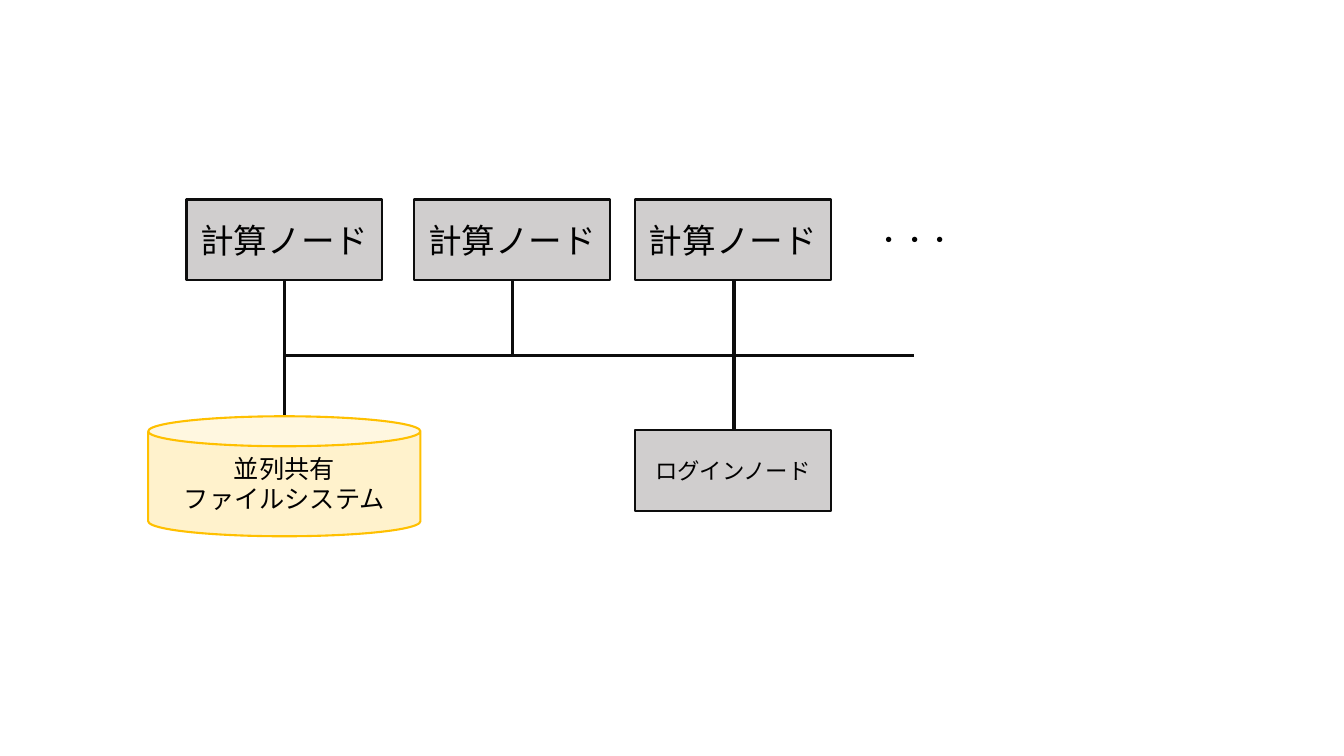
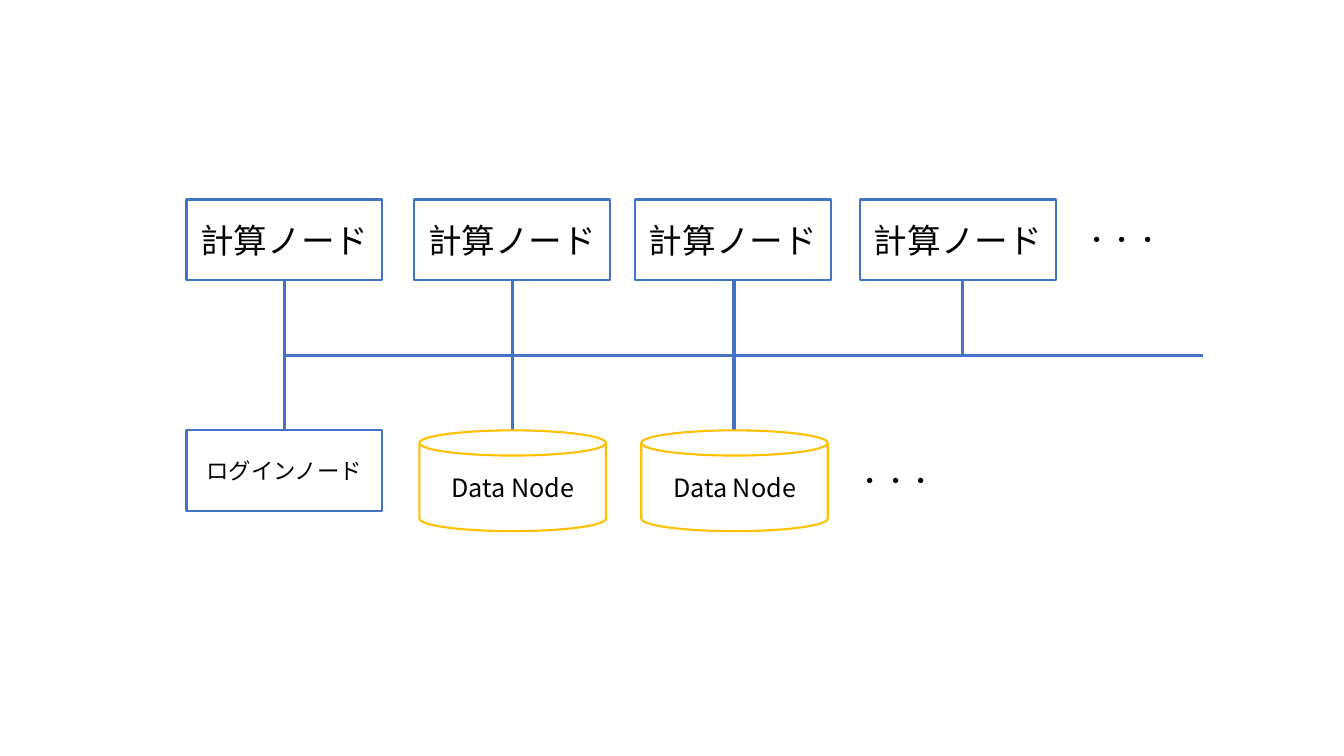
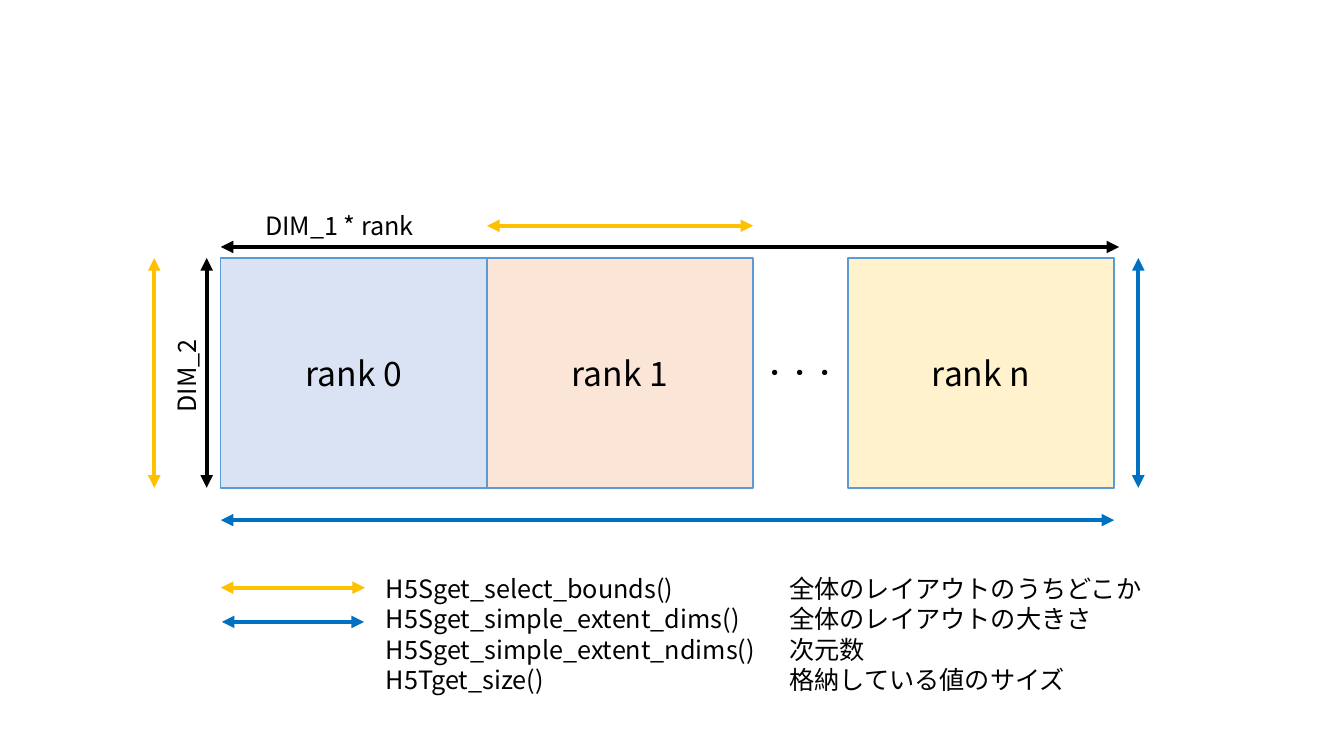
from dataclasses import dataclass

from lxml.etree import SubElement
from pptx import Presentation
from pptx.dml.color import RGBColor
from pptx.enum.shapes import MSO_CONNECTOR, MSO_SHAPE
from pptx.enum.text import MSO_ANCHOR, MSO_AUTO_SIZE, PP_ALIGN
from pptx.oxml.ns import qn
from pptx.slide import Slide
from pptx.text.text import TextFrame
from pptx.util import Pt

EMU_PER_PX = 9144
FONT = "Noto Sans CJK JP"
COLOURS = {
    "black": "000000",
    "white": "FFFFFF",
    "ink": "0D0D0D",
    "grey": "D0CECE",
    "blue": "4472C4",
    "sky": "5B9BD5",
    "pale_blue": "DAE3F3",
    "pale_orange": "FBE5D6",
    "pale_gold": "FFF2CC",
    "gold": "FFC000",
    "deep_blue": "0070C0",
}
SHAPE_FRAME = {"word_wrap": True, "vertical_anchor": MSO_ANCHOR.MIDDLE}
LABEL_FRAME = {
    "word_wrap": True,
    "vertical_anchor": MSO_ANCHOR.TOP,
    "auto_size": MSO_AUTO_SIZE.SHAPE_TO_FIT_TEXT,
}

NODE_LEFTS = (185, 411, 630, 853)
STEMS = (282, 508, 728, 955)
NODE_WIDTH, NODE_HEIGHT = 194, 80
NODE_TOP, BUS, LOWER_TOP = 198, 353, 427
NODE_BOTTOM = NODE_TOP + NODE_HEIGHT

RANK_LEFT, RANK_TOP, RANK_WIDTH, RANK_HEIGHT = 219, 256, 264, 228
RANK_BOTTOM = RANK_TOP + RANK_HEIGHT
LAST_RANK_LEFT = 841
RANKS_RIGHT = LAST_RANK_LEFT + RANK_WIDTH


@dataclass
class Block:
    left: int
    top: int
    width: int
    height: int
    text: str
    fill: str
    line: str
    size: int = 24
    weight: float = 1.5
    kind: MSO_SHAPE = MSO_SHAPE.RECTANGLE


@dataclass
class Label:
    left: int
    top: int
    width: int
    text: str
    height: int = 40
    rotation: int = 0
    tab: int = 0


@dataclass
class Line:
    start_x: int
    start_y: int
    end_x: int
    end_y: int
    colour: str
    weight: float = 2.25
    arrows: bool = False


def px(length: int) -> int:
    return length * EMU_PER_PX


def colour(name: str) -> RGBColor:
    return RGBColor.from_string(COLOURS[name])


def write_text(frame: TextFrame, text: str, size: int, align: PP_ALIGN,
               settings: dict, tab: int = 0) -> None:
    for name, value in settings.items():
        setattr(frame, name, value)
    for index, words in enumerate(text.split("\n")):
        para = frame.add_paragraph() if index else frame.paragraphs[0]
        para.alignment = align
        if tab:
            stops = SubElement(para._p.get_or_add_pPr(), qn("a:tabLst"))
            SubElement(stops, qn("a:tab"), pos=str(px(tab)), algn="l")
        span = para.add_run()
        span.text = words
        for name, value in {"name": FONT, "size": Pt(size)}.items():
            setattr(span.font, name, value)
        span.font.color.rgb = colour("black")
        SubElement(span._r.get_or_add_rPr(), qn("a:ea"), typeface=FONT)


def draw_block(page: Slide, block: Block) -> None:
    bounds = map(px, (block.left, block.top, block.width, block.height))
    shape = page.shapes.add_shape(block.kind, *bounds)
    shape.shadow.inherit = False
    shape.fill.solid()
    shape.fill.fore_color.rgb = colour(block.fill)
    shape.line.color.rgb = colour(block.line)
    shape.line.width = Pt(block.weight)
    write_text(shape.text_frame, block.text, block.size, PP_ALIGN.CENTER, SHAPE_FRAME)


def draw_label(page: Slide, label: Label) -> None:
    bounds = map(px, (label.left, label.top, label.width, label.height))
    box = page.shapes.add_textbox(*bounds)
    box.rotation = label.rotation
    write_text(box.text_frame, label.text, 18, PP_ALIGN.LEFT, LABEL_FRAME, label.tab)


def draw_line(page: Slide, line: Line) -> None:
    ends = map(px, (line.start_x, line.start_y, line.end_x, line.end_y))
    connector = page.shapes.add_connector(MSO_CONNECTOR.STRAIGHT, *ends)
    connector.line.color.rgb = colour(line.colour)
    connector.line.width = Pt(line.weight)
    if line.arrows:
        for end in ("a:headEnd", "a:tailEnd"):
            SubElement(connector.line._get_or_add_ln(), qn(end), type="triangle")
    SubElement(connector._element.spPr, qn("a:effectLst"))


def draw_network(page: Slide, count: int, bus_right: int, drops: tuple,
                 login: int, fill: str, line: str) -> None:
    for left, stem in zip(NODE_LEFTS[:count], STEMS):
        draw_block(page, Block(left, NODE_TOP, NODE_WIDTH, NODE_HEIGHT,
                               "計算ノード", fill, line))
        draw_line(page, Line(stem, NODE_BOTTOM, stem, BUS, line))
    draw_line(page, Line(STEMS[0], BUS, bus_right, BUS, line))
    for column in drops:
        draw_line(page, Line(STEMS[column], BUS, STEMS[column], LOWER_TOP, line))
    draw_block(page, Block(NODE_LEFTS[login], LOWER_TOP, NODE_WIDTH, NODE_HEIGHT,
                           "ログインノード", fill, line, 16))


def build_shared_storage(page: Slide) -> None:
    draw_network(page, 3, 907, (0, 2), 2, "grey", "ink")
    draw_block(page, Block(147, 413, 270, 119, "並列共有\nファイルシステム",
                           "pale_gold", "gold", 18, kind=MSO_SHAPE.CAN))
    draw_label(page, Label(860, 218, 166, "・・・"))


def build_storage_nodes(page: Slide) -> None:
    draw_network(page, 4, 1193, (0, 1, 2), 0, "white", "blue")
    for left in (416, 636):
        draw_block(page, Block(left, LOWER_TOP, 185, 100, "Data Node",
                               "white", "gold", 18, kind=MSO_SHAPE.CAN))
    for left, top in ((1066, 218), (841, 457)):
        draw_label(page, Label(left, top, 96, "・・・"))


def build_rank_layout(page: Slide) -> None:
    second_left = RANK_LEFT + RANK_WIDTH
    second_right = second_left + RANK_WIDTH
    ranks = (
        (RANK_LEFT, "rank 0", "pale_blue"),
        (second_left, "rank 1", "pale_orange"),
        (LAST_RANK_LEFT, "rank n", "pale_gold"),
    )
    for left, text, fill in ranks:
        draw_block(page, Block(left, RANK_TOP, RANK_WIDTH, RANK_HEIGHT,
                               text, fill, "sky", weight=1))
    for x, name in ((153, "gold"), (205, "black"), (1129, "deep_blue")):
        draw_line(page, Line(x, RANK_TOP, x, RANK_BOTTOM, name, 3, True))
    spans = (
        (second_left, second_right, 224, "gold"),
        (RANK_LEFT, 1110, 245, "black"),
        (RANK_LEFT, RANKS_RIGHT, 516, "deep_blue"),
        (RANK_LEFT, 362, 583, "gold"),
        (RANK_LEFT + 1, 361, 617, "deep_blue"),
    )
    for left, right, y, name in spans:
        draw_line(page, Line(left, y, right, y, name, 3, True))
    calls = (
        ("H5Sget_select_bounds()", "全体のレイアウトのうちどこか"),
        ("H5Sget_simple_extent_dims()", "全体のレイアウトの大きさ"),
        ("H5Sget_simple_extent_ndims()", "次元数"),
        ("H5Tget_size()", "格納している値のサイズ"),
    )
    labels = (
        Label(136, 350, 98, "DIM_2", rotation=270),
        Label(253, 204, 218, "DIM_1 * rank"),
        Label(746, 350, 101, "・・・"),
        Label(373, 564, 819, "\n".join(map("\t".join, calls)), 131, tab=400),
    )
    for label in labels:
        draw_label(page, label)


def main() -> None:
    deck = Presentation()
    for name, length in {"slide_width": 1333, "slide_height": 750}.items():
        setattr(deck, name, px(length))
    for build in (build_shared_storage, build_storage_nodes, build_rank_layout):
        build(deck.slides.add_slide(deck.slide_layouts[6]))
    deck.save("out.pptx")


if __name__ == "__main__":
    main()
